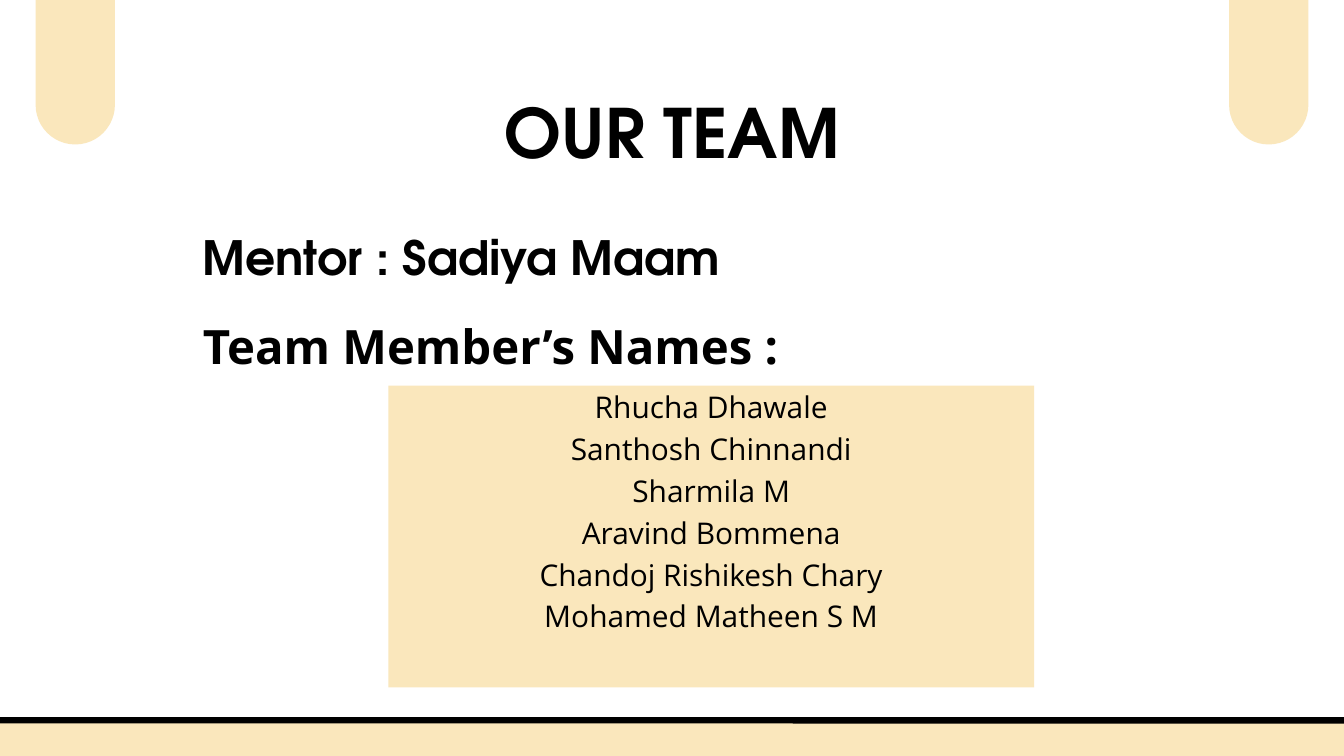
from pptx import Presentation, util as u
from pptx.dml.color import RGBColor
from pptx.enum import shapes, text

NAMES = [
    "Rhucha Dhawale",
    "Santhosh Chinnandi",
    "Sharmila M",
    "Aravind Bommena",
    "Chandoj Rishikesh Chary",
    "Mohamed Matheen S M",
]
THEME = {
    "cream": RGBColor(0xFA, 0xE7, 0xBC),
    "black": RGBColor(0, 0, 0),
    "white": RGBColor(255, 255, 255),
    "head": "TeX Gyre Adventor",
    "body": "Open Sans",
    "title": 72.9,
    "lead": 50.6,
    "label": 50.7,
    "name": 32,
    "rule": 6.75,
}
LEADING = 1.4
WIDE, HIGH = u.Inches(20), u.Inches(11.25)

EDGE, PILLAR = 2.65, 5.9
PANEL = (28.9, 51.02, 48.05, 39.91)
BAR = (-2.9, 95.29, 105.8, 8)

HEADS = [
    ("OUR TEAM", (14.4, 10.22, 71.2, 12.18), "head", "title"),
    ("Mentor : Sadiya Maam", (12.15, 28.98, 44.4, 8.36), "head", "lead"),
    ("Team Member’s Names :", (13.1, 40.71, 46.85, 8.44), "body", "label"),
]


def place(box):
    left, top, width, height = box
    return [round(part * side / 100) for part, side in
            ((left, WIDE), (top, HIGH), (width, WIDE), (height, HIGH))]


def block(slide, kind, box, curve=None, edge=None):
    shape = slide.shapes.add_shape(kind, *place(box))
    shape.shadow.inherit = False
    shape.fill.solid()
    shape.fill.fore_color.rgb = THEME["cream"]
    if curve is not None:
        shape.adjustments[0] = curve
    if edge:
        shape.line.color.rgb = THEME["black"]
        shape.line.width = u.Pt(edge)
    else:
        shape.line.fill.background()


def write(slide, lines, box, font="body", size="name", bold=False, inset=0, head=0):
    frame = slide.shapes.add_textbox(*place(box)).text_frame
    frame.word_wrap = True
    frame.vertical_anchor = text.MSO_ANCHOR.TOP
    frame.margin_left = frame.margin_right = frame.margin_bottom = u.Inches(inset)
    frame.margin_top = u.Inches(head)
    frame.text = "\n".join(lines)
    for para in frame.paragraphs:
        para.alignment = text.PP_ALIGN.CENTER
        para.line_spacing = u.Pt(round(THEME[size] * LEADING, 1))
        for run in para.runs:
            run.font.name = THEME[font]
            run.font.size = u.Pt(THEME[size])
            run.font.bold = bold
            run.font.color.rgb = THEME["black"]


def main():
    deck = Presentation()
    deck.slide_width, deck.slide_height = WIDE, HIGH
    slide = deck.slides.add_slide(deck.slide_layouts[6])
    slide.background.fill.solid()
    slide.background.fill.fore_color.rgb = THEME["white"]

    kind = shapes.MSO_SHAPE
    for left in (EDGE, 100 - EDGE - PILLAR):
        block(slide, kind.ROUNDED_RECTANGLE, (left, -9.6, PILLAR, 28.71), curve=0.5)
    block(slide, kind.ROUNDED_RECTANGLE, BAR, curve=0.1, edge=THEME["rule"])
    block(slide, kind.RECTANGLE, PANEL)

    left, top, width, height = PANEL
    rise = 2.04
    write(slide, NAMES, (left, top - rise, width, height + rise), inset=0.06, head=0.19)
    for line, box, font, size in HEADS:
        write(slide, [line], box, font=font, size=size, bold=True)
    deck.save("out.pptx")


if __name__ == "__main__":
    main()
